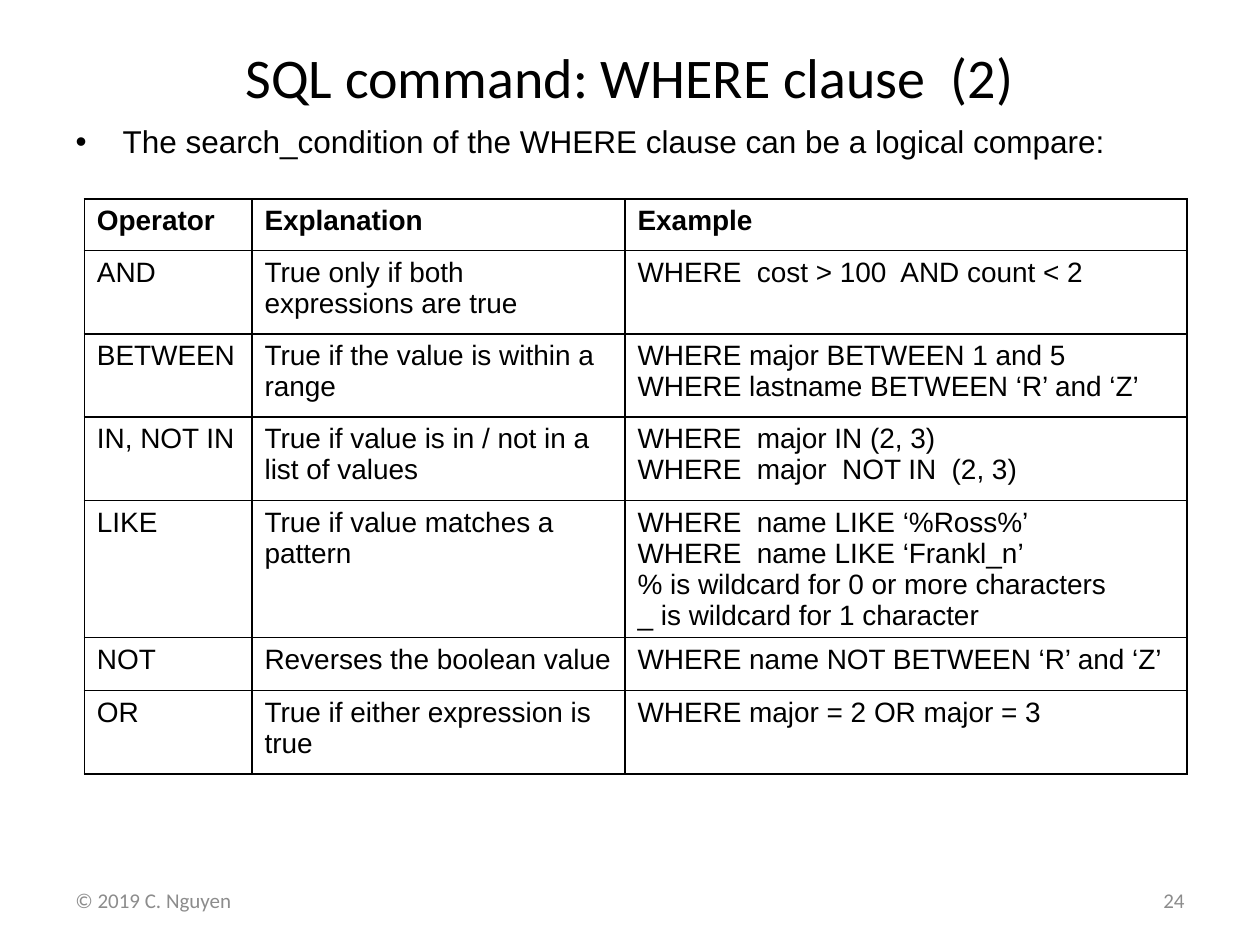
from dataclasses import dataclass

from pptx import Presentation
from pptx.dml.color import RGBColor
from pptx.enum.text import MSO_ANCHOR as Anchor, MSO_AUTO_SIZE as AutoSize, PP_ALIGN as Align
from pptx.oxml import parse_xml
from pptx.oxml.ns import nsdecls
from pptx.util import Cm, Pt


@dataclass(frozen=True)
class Theme:
    ink: str = "000000"
    muted: str = "8C8C8C"
    paper: str = "FFFFFF"
    heading_font: str = "Calibri"
    text_font: str = "Arial"
    title_size: int = 32
    body_size: int = 18
    table_size: int = 16
    footer_size: int = 12
    border_width: int = 1


THEME = Theme()

COLUMN_WIDTHS = (3.38, 7.52, 11.33)
ROW_HEIGHTS = (1.04, 1.68, 1.68, 1.68, 1.68, 1.07, 1.68)
OPERATORS = (
    ("Operator", "Explanation", "Example"),
    ("AND", "True only if both expressions are true", "WHERE  cost > 100  AND count < 2"),
    ("BETWEEN", "True if the value is within a range",
     "WHERE major BETWEEN 1 and 5\nWHERE lastname BETWEEN ‘R’ and ‘Z’"),
    ("IN, NOT IN", "True if value is in / not in a list of values",
     "WHERE  major IN (2, 3)\nWHERE  major  NOT IN  (2, 3)"),
    ("LIKE", "True if value matches a pattern",
     "WHERE  name LIKE ‘%Ross%’\nWHERE  name LIKE ‘Frankl_n’\n"
     "% is wildcard for 0 or more characters\n_ is wildcard for 1 character"),
    ("NOT", "Reverses the boolean value", "WHERE name NOT BETWEEN ‘R’ and ‘Z’"),
    ("OR", "True if either expression is true", "WHERE major = 2 OR major = 3"),
)


def set_all(target, values):
    for name, value in values.items():
        setattr(target, name, value)


def format_paragraph(paragraph, font, size, color, bold=False, align=Align.LEFT):
    paragraph.alignment = align
    set_all(paragraph.font, {"name": font, "size": Pt(size), "bold": bold})
    paragraph.font.color.rgb = RGBColor.from_string(color)


def place(shape, left, top, width, height):
    set_all(shape, {"left": Cm(left), "top": Cm(top), "width": Cm(width), "height": Cm(height)})


def fill_title(shape, text):
    place(shape, 1.27, 0.43, 22.86, 2.21)
    frame = shape.text_frame
    set_all(frame, {"text": text, "vertical_anchor": Anchor.MIDDLE, "auto_size": AutoSize.NONE})
    format_paragraph(frame.paragraphs[0], THEME.heading_font, THEME.title_size, THEME.ink,
                     align=Align.CENTER)


def fill_body(shape, text):
    place(shape, 1.27, 2.34, 22.86, 15.24)
    frame = shape.text_frame
    set_all(frame, {"text": text, "vertical_anchor": Anchor.TOP, "auto_size": AutoSize.NONE})
    paragraph = frame.paragraphs[0]
    properties = paragraph._p.get_or_add_pPr()
    properties.set("marL", str(Cm(0.95)))
    properties.set("indent", str(-Cm(0.95)))
    properties.append(parse_xml(f'<a:buFont {nsdecls("a")} typeface="Arial"/>'))
    properties.append(parse_xml(f'<a:buChar {nsdecls("a")} char="•"/>'))
    paragraph.space_before = Pt(0)
    format_paragraph(paragraph, THEME.text_font, THEME.body_size, THEME.ink)


def format_cell(cell, text, bold):
    # Borders come before the fill in the cell properties
    properties = cell._tc.get_or_add_tcPr()
    for side in ("lnL", "lnR", "lnT", "lnB"):
        properties.append(parse_xml(
            f'<a:{side} {nsdecls("a")} w="{Pt(THEME.border_width)}"><a:solidFill>'
            f'<a:srgbClr val="{THEME.ink}"/></a:solidFill></a:{side}>'))
    cell.fill.solid()
    cell.fill.fore_color.rgb = RGBColor.from_string(THEME.paper)
    cell.text_frame.text = text
    for paragraph in cell.text_frame.paragraphs:
        format_paragraph(paragraph, THEME.text_font, THEME.table_size, THEME.ink, bold)


def add_operator_table(slide):
    table = slide.shapes.add_table(
        len(OPERATORS), len(COLUMN_WIDTHS), Cm(1.7), Cm(4.01),
        Cm(sum(COLUMN_WIDTHS)), Cm(sum(ROW_HEIGHTS))).table
    set_all(table, {"first_row": False, "horz_banding": False})
    for column, width in zip(table.columns, COLUMN_WIDTHS):
        column.width = Cm(width)
    for index, (row, height, texts) in enumerate(zip(table.rows, ROW_HEIGHTS, OPERATORS)):
        row.height = Cm(height)
        for cell, text in zip(row.cells, texts):
            format_cell(cell, text, bold=index == 0)


def add_footer(slide, text, left, align):
    box = slide.shapes.add_textbox(Cm(left), Cm(17.65), Cm(5.93), Cm(1.01))
    frame = box.text_frame
    set_all(frame, {"text": text, "word_wrap": True, "vertical_anchor": Anchor.MIDDLE})
    format_paragraph(frame.paragraphs[0], THEME.heading_font, THEME.footer_size, THEME.muted,
                     align=align)


def main():
    presentation = Presentation()
    set_all(presentation, {"slide_width": Cm(25.4), "slide_height": Cm(19.05)})
    slide = presentation.slides.add_slide(presentation.slide_layouts[1])

    # Title and introduction
    fill_title(slide.shapes.title, "SQL command: WHERE clause  (2)")
    fill_body(slide.placeholders[1],
              "The search_condition of the WHERE clause can be a logical compare:")

    # Logical operators
    add_operator_table(slide)

    # Footer
    add_footer(slide, "© 2019 C. Nguyen", 1.27, Align.LEFT)
    add_footer(slide, "24", 18.2, Align.RIGHT)

    presentation.save("out.pptx")


if __name__ == "__main__":
    main()
